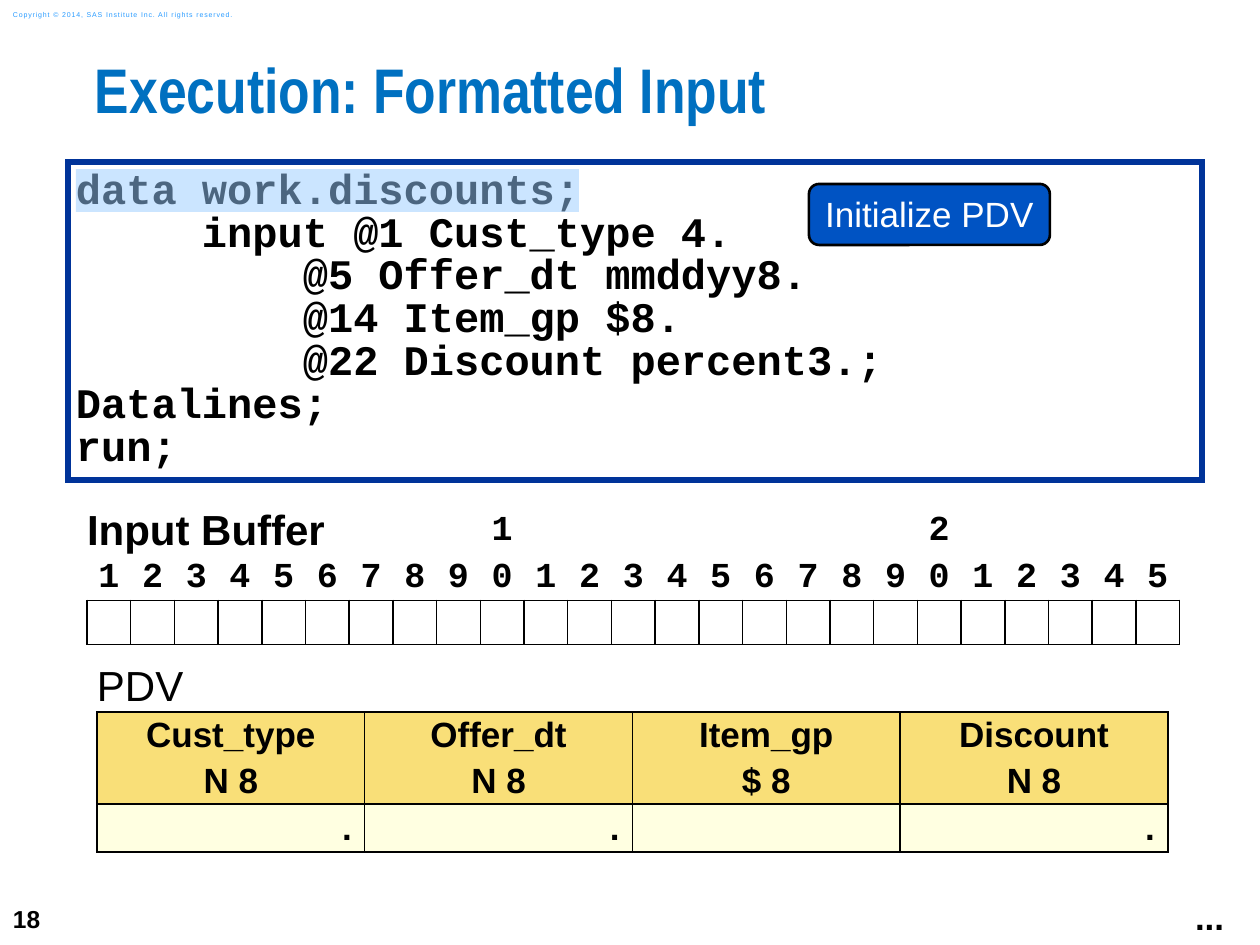
import pptx
import pptx.util
import pptx.dml.color
import pptx.enum.shapes
import pptx.enum.text
import pptx.oxml.ns
from lxml import etree

CODE = [
    "data work.discounts;",
    "     input @1 Cust_type 4.",
    "         @5 Offer_dt mmddyy8.",
    "         @14 Item_gp $8.",
    "         @22 Discount percent3.;",
    "Datalines;",
    "run;",
]
BUFFER_SIZE = 25
PDV = [
    ("Cust_type", "N 8", "."),
    ("Offer_dt", "N 8", "."),
    ("Item_gp", "$ 8", ""),
    ("Discount", "N 8", "."),
]
THEME = {
    "black": "000000", "white": "FFFFFF", "title": "0070C0", "copyright": "2A9CFF",
    "frame": "003399", "button": "0053C3", "highlight": "99CCFF",
    "header": "F9DF78", "value": "FFFFE1",
    "sans": "Arial", "narrow": "Arial Narrow", "mono": "Courier New",
    "title_size": 36, "large": 24, "medium": 20, "small": 14, "tiny": 4,
}
SHAPES = pptx.enum.shapes.MSO_SHAPE
ALIGN = pptx.enum.text.PP_ALIGN
FIT = pptx.enum.text.MSO_AUTO_SIZE
MIDDLE = pptx.enum.text.MSO_ANCHOR.MIDDLE
SIDES = "LRTB"


def px(length):
    return pptx.util.Emu(round(length * 914400 / 126))


def colour(name):
    return pptx.dml.color.RGBColor.from_string(THEME[name])


def child(parent, tag, **attributes):
    return etree.SubElement(parent, pptx.oxml.ns.qn(tag), attributes)


def apply(target, values):
    for key, value in values.items():
        setattr(target, key, value)


def write(frame, lines, size, ink="black", font="sans", bold=False,
          align=ALIGN.LEFT, spacing=None, gap=0):
    for index, line in enumerate(lines):
        paragraph = frame.paragraphs[0] if index == 0 else frame.add_paragraph()
        paragraph.alignment = align
        if spacing:
            paragraph.line_spacing = spacing
        if index and gap:
            paragraph.space_before = pptx.util.Pt(gap)
        run = paragraph.add_run()
        run.text = line
        apply(run.font, {"size": pptx.util.Pt(THEME[size]), "name": THEME[font], "bold": bold})
        run.font.color.rgb = colour(ink)


def set_frame(frame, inset=(13, 6), wrap=True, anchor=pptx.enum.text.MSO_ANCHOR.TOP):
    across, down = map(px, inset)
    apply(frame, {"margin_left": across, "margin_right": across, "margin_top": down,
                  "margin_bottom": down, "word_wrap": wrap, "vertical_anchor": anchor,
                  "auto_size": FIT.NONE if wrap else FIT.SHAPE_TO_FIT_TEXT})
    return frame


def add_text(slide, box, line, frame_format, **text_format):
    frame = slide.shapes.add_textbox(*map(px, box)).text_frame
    write(set_frame(frame, **frame_format), [line], **text_format)
    return frame


def add_panel(slide, kind, box, fill, line=None, width=0):
    panel = slide.shapes.add_shape(kind, *map(px, box))
    panel.shadow.inherit = False
    panel.fill.solid()
    panel.fill.fore_color.rgb = colour(fill)
    if line:
        panel.line.color.rgb = colour(line)
        panel.line.width = pptx.util.Pt(width)
        child(panel.line._get_or_add_ln(), "a:miter", lim="800000")
    else:
        panel.line.fill.background()
    return panel


def add_grid(slide, left, top, width, columns, heights):
    grid = slide.shapes.add_table(len(heights), columns, px(left), px(top),
                                  px(width), px(sum(heights))).table
    apply(grid, {"first_row": False, "horz_banding": False})
    for column in grid.columns:
        column.width = px(width / columns)
    for row, height in zip(grid.rows, heights):
        row.height = px(height)
    return grid


def style_cell(cell, borders="", fill=None, inset=0):
    apply(cell, {"margin_left": px(inset), "margin_right": px(inset), "margin_top": 0,
                 "margin_bottom": 0, "vertical_anchor": MIDDLE})
    properties = cell._tc.get_or_add_tcPr()
    for side in SIDES:
        border = child(properties, f"a:ln{side}", w=str(pptx.util.Pt(1)))
        if side in borders:
            child(child(border, "a:solidFill"), "a:srgbClr", val=THEME["black"])
        else:
            child(border, "a:noFill")
    if fill:
        cell.fill.solid()
        cell.fill.fore_color.rgb = colour(fill)
    else:
        cell.fill.background()


def add_pdv(slide):
    grid = add_grid(slide, 97, 661, 1071, len(PDV), [51, 92, 48])
    for index, (name, kind, value) in enumerate(PDV):
        style_cell(grid.cell(0, index), "B", "white")
        header, content = grid.cell(1, index), grid.cell(2, index)
        style_cell(header, SIDES, "header", 13)
        style_cell(content, SIDES, "value", 13)
        write(header.text_frame, [name, kind], "medium", bold=True, align=ALIGN.CENTER, gap=4)
        if value:
            write(content.text_frame, [value], "medium", bold=True, align=ALIGN.RIGHT)
    label = grid.cell(0, 0)
    label.merge(grid.cell(0, len(PDV) - 1))
    write(label.text_frame, ["PDV"], "large")


def add_buffer(slide):
    grid = add_grid(slide, 87, 506, 1093, BUFFER_SIZE, [50, 44, 44])
    digit = {"size": "medium", "font": "mono", "bold": True, "align": ALIGN.CENTER}
    for index in range(BUFFER_SIZE):
        tens, units = divmod(index + 1, 10)
        for row, borders in enumerate(("", "B", SIDES)):
            style_cell(grid.cell(row, index), borders)
        if units == 0:
            write(grid.cell(0, index).text_frame, [str(tens)], **digit)
        write(grid.cell(1, index).text_frame, [str(units)], **digit)
    label = grid.cell(0, 0)
    label.merge(grid.cell(0, 8))
    write(label.text_frame, ["Input Buffer"], "large", bold=True)


def main():
    deck = pptx.Presentation()
    deck.slide_width, deck.slide_height = px(1260), px(945)
    slide = deck.slides.add_slide(deck.slide_layouts[6])

    add_text(slide, (0, 892, 73, 53), "18", {"anchor": MIDDLE}, size="small", bold=True)
    notice = add_text(slide, (0, 4, 266, 21),
                      "Copyright © 2014, SAS Institute Inc. All rights reserved.",
                      {"anchor": MIDDLE}, size="tiny", ink="copyright")
    notice.paragraphs[0].runs[0].font._element.set("spc", "50")
    add_text(slide, (95, 63, 1165, 93), "Execution: Formatted Input", {"inset": (0, 0)},
             size="title_size", ink="title", font="narrow", bold=True, spacing=0.83)
    add_pdv(slide)

    code = add_panel(slide, SHAPES.RECTANGLE, (68, 162, 1134, 318), "white", "frame", 3)
    write(set_frame(code.text_frame, (8, 8)), CODE, "large", font="mono", bold=True, spacing=0.85)
    add_text(slide, (1182, 889, 56, 56), "...", {"wrap": False}, size="medium", bold=True)

    button = add_panel(slide, SHAPES.ROUNDED_RECTANGLE, (809, 184, 241, 61),
                       "button", "black", 1.5)
    write(set_frame(button.text_frame, wrap=False), ["Initialize PDV"], "medium",
          ink="white", align=ALIGN.CENTER)

    highlight = add_panel(slide, SHAPES.RECTANGLE, (76, 169, 503, 43), "highlight")
    tint = highlight._element.spPr.find(".//" + pptx.oxml.ns.qn("a:srgbClr"))
    child(tint, "a:alpha", val="50000")
    add_buffer(slide)
    deck.save("out.pptx")


if __name__ == "__main__":
    main()
